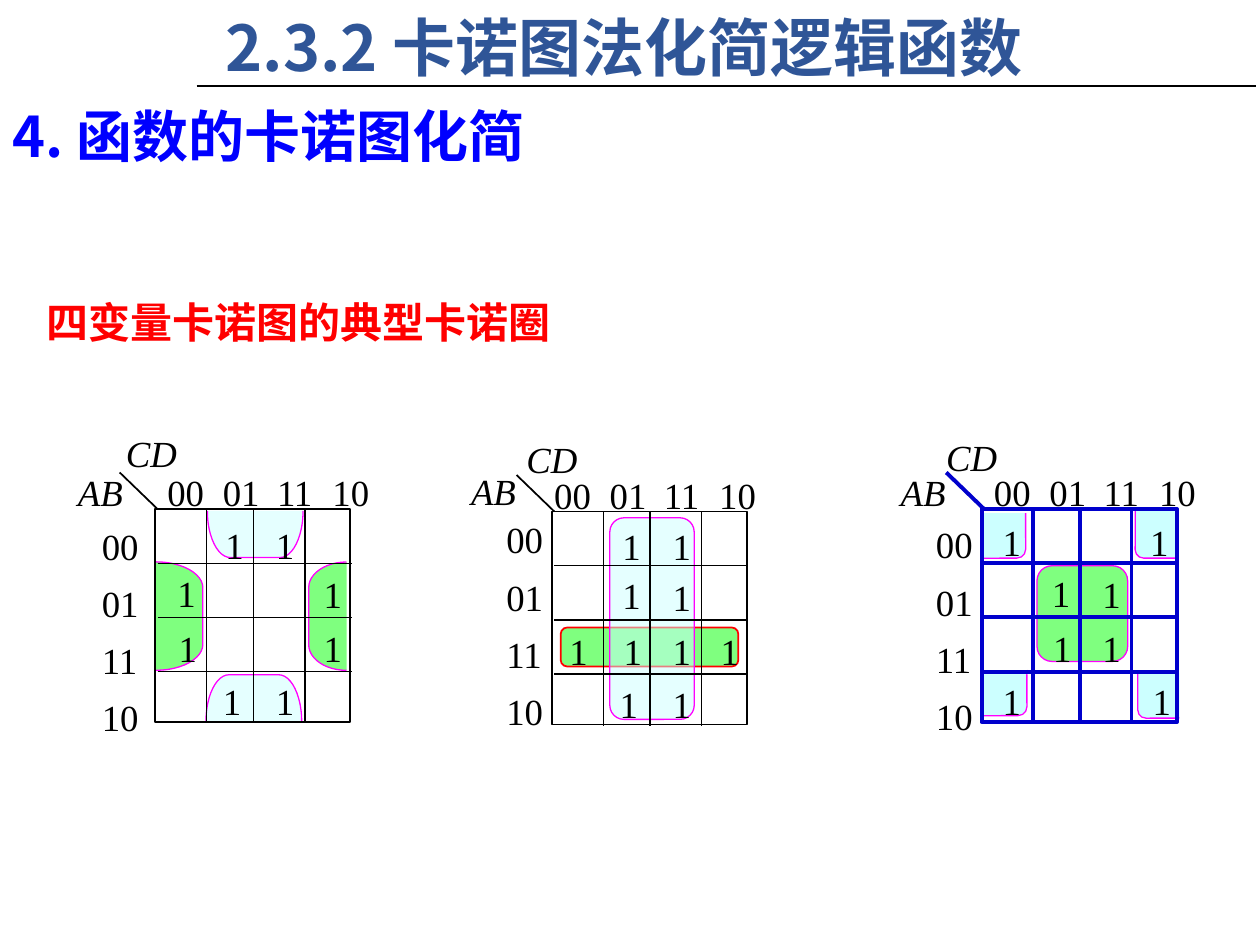
from dataclasses import dataclass, field

import pptx
import pptx.dml.color
import pptx.enum.shapes
import pptx.enum.text
import pptx.oxml
import pptx.oxml.ns
import pptx.util
from pptx.util import Inches

SERIF = "Times New Roman"
SANS = "Noto Sans CJK SC"
SHAPES = pptx.enum.shapes.MSO_SHAPE
ANCHOR = pptx.enum.text.MSO_ANCHOR
CYAN, GREEN, MAGENTA = "CCFFFF", "00FF00", "FF00FF"
GRID_SIZE = (1.55, 1.69)
COLUMN_OFFSETS = (0.41, 0.78, 1.19)
ROW_OFFSETS = (0.43, 0.86, 1.29)
CODES = ("00", "01", "11", "10")


@dataclass
class Loop:
    box: tuple[float, float, float, float]
    fill: str
    line: str = MAGENTA
    width: float = 0.75
    preset: int = SHAPES.ROUNDED_RECTANGLE
    adjustment: float = 0.167
    rotation: int = 0
    alpha: int = 50


@dataclass
class CornerMask:
    box: tuple[float, float, float, float]
    arm: float
    right: bool = False


@dataclass
class KarnaughMap:
    origin: tuple[float, float]
    column_label: tuple[float, float]
    row_label: tuple[float, float, float]
    cd_label: tuple[float, float]
    ab_label: tuple[float, float]
    loops: list[Loop]
    top_ones: list[tuple[float, float]]
    ones: list[tuple[float, float]]
    masks: list[CornerMask] = field(default_factory=list)
    color: str = "000000"
    border: float = 1
    inner: float = 0.75


def set_color(color_format, color: str) -> None:
    color_format.rgb = pptx.dml.color.RGBColor.from_string(color)


def set_fill(shape, color: str, alpha: int = 100) -> None:
    shape.fill.solid()
    set_color(shape.fill.fore_color, color)
    if alpha < 100:
        solid = shape.element.spPr.find(pptx.oxml.ns.qn("a:solidFill"))
        pptx.oxml.parse_xml(
            f'<a:alpha {pptx.oxml.ns.nsdecls("a")} val="{alpha * 1000}"/>'
        )
        transparency = solid[0].makeelement(pptx.oxml.ns.qn("a:alpha"), {"val": str(alpha * 1000)})
        solid[0].append(transparency)


def set_line(shape, color: str, width: float) -> None:
    set_color(shape.line.color, color)
    shape.line.width = pptx.util.Pt(width)


def write_text(shape, text: str, *, size: float = 21, font: str = SERIF, color: str = "000000",
               bold: bool = False, italic: bool = False, wrap: bool = True,
               spacing: float | None = None, anchor=ANCHOR.TOP,
               tabs: tuple[float, ...] = ()) -> None:
    frame = shape.text_frame
    frame.auto_size = pptx.enum.text.MSO_AUTO_SIZE.NONE
    frame.word_wrap = wrap
    frame.vertical_anchor = anchor
    for index, line in enumerate(text.split("\n")):
        paragraph = frame.paragraphs[0] if index == 0 else frame.add_paragraph()
        paragraph.alignment = pptx.enum.text.PP_ALIGN.LEFT
        if spacing:
            paragraph.line_spacing = spacing
        if tabs:
            stops = "".join(f'<a:tab pos="{Inches(tab)}" algn="l"/>' for tab in tabs)
            paragraph._p.get_or_add_pPr().append(pptx.oxml.parse_xml(
                f'<a:tabLst {pptx.oxml.ns.nsdecls("a")}>{stops}</a:tabLst>'))
        run = paragraph.add_run()
        run.text = line
        run.font.name = font
        run.font.size = pptx.util.Pt(size)
        run.font.bold = bold
        run.font.italic = italic
        set_color(run.font.color, color)
        run.font._element.append(pptx.oxml.parse_xml(
            f'<a:ea {pptx.oxml.ns.nsdecls("a")} typeface="{SANS}"/>'))


def add_text(slide, box: tuple[float, ...], text: str, **text_format):
    shape = slide.shapes.add_textbox(*map(Inches, box))
    write_text(shape, text, **text_format)
    return shape


def add_line(slide, start: tuple[float, float], end: tuple[float, float],
             color: str, width: float) -> None:
    connector = slide.shapes.add_connector(
        pptx.enum.shapes.MSO_CONNECTOR.STRAIGHT, *map(Inches, (*start, *end)))
    set_line(connector, color, width)
    connector.element.spPr.append(pptx.oxml.parse_xml(
        f'<a:effectLst {pptx.oxml.ns.nsdecls("a")}/>'))


def add_loop(slide, loop: Loop) -> None:
    shape = slide.shapes.add_shape(loop.preset, *map(Inches, loop.box))
    shape.shadow.inherit = False
    shape.adjustments[0] = loop.adjustment
    shape.rotation = loop.rotation
    set_fill(shape, loop.fill, loop.alpha)
    set_line(shape, loop.line, loop.width)


def add_mask(slide, mask: CornerMask) -> None:
    left, top, width, height = mask.box
    outer, inner, direction = (left + width, left, -1) if mask.right else (left, left + width, 1)
    elbow = outer + direction * mask.arm
    points = [(outer, top), (inner, top), (inner, top + 0.12), (elbow, top + 0.12),
              (elbow, top + height), (outer, top + height)]
    points = [(Inches(x), Inches(y)) for x, y in points]
    builder = slide.shapes.build_freeform(*points[0])
    builder.add_line_segments(points[1:], close=True)
    shape = builder.convert_to_shape()
    shape.shadow.inherit = False
    set_fill(shape, "FFFFFF")
    shape.line.fill.background()


def add_map(slide, karnaugh: KarnaughMap) -> None:
    for loop in karnaugh.loops:
        add_loop(slide, loop)
    for mask in karnaugh.masks:
        add_mask(slide, mask)
    left, top = karnaugh.origin
    width, height = GRID_SIZE
    border = slide.shapes.add_shape(SHAPES.RECTANGLE, *map(Inches, (left, top, width, height)))
    border.shadow.inherit = False
    border.fill.background()
    set_line(border, karnaugh.color, karnaugh.border)
    add_line(slide, (left + 0.02, top), (left - 0.28, top - 0.29), karnaugh.color, karnaugh.border)
    for offset in COLUMN_OFFSETS:
        x = left + offset
        add_line(slide, (x, top), (x, top + 1.7), karnaugh.color, karnaugh.inner)
    for offset in ROW_OFFSETS:
        y = top + offset
        add_line(slide, (left + 0.02, y), (left + 1.56, y), karnaugh.color, karnaugh.inner)
    add_text(slide, (*karnaugh.column_label, 1.82, 0.45), "\t".join(CODES),
             tabs=(0.44, 0.87, 1.31))
    add_text(slide, (*karnaugh.row_label, 1.94), "\n".join(CODES), spacing=1.3)
    add_text(slide, (*karnaugh.cd_label, 0.61, 0.45), "CD", italic=True, wrap=False)
    add_text(slide, (*karnaugh.ab_label, 0.56, 0.45), "AB", italic=True, wrap=False)
    for position in karnaugh.top_ones:
        add_text(slide, (*position, 0.31, 0.52), "1", spacing=1.2, wrap=False)
    for position in karnaugh.ones:
        add_text(slide, (*position, 0.35, 0.45), "1", wrap=False)


BRACKET = SHAPES.RIGHT_BRACKET
MAPS = [
    KarnaughMap(
        (1.23, 4.04), (1.23, 3.68), (0.71, 4, 0.59), (0.9, 3.37), (0.52, 3.68),
        [Loop((1.83, 5.16, 0.37, 0.76), CYAN, preset=BRACKET, adjustment=0.494, rotation=270),
         Loop((1.84, 3.86, 0.37, 0.76), CYAN, preset=BRACKET, adjustment=0.494, rotation=90),
         Loop((2.45, 4.46, 0.3, 0.86), GREEN, preset=BRACKET, adjustment=0.677, rotation=180),
         Loop((1.24, 4.46, 0.37, 0.86), GREEN, preset=BRACKET, adjustment=0.555)],
        [(1.69, 4.03), (2.09, 4.03)],
        [(1.31, 4.48), (2.47, 4.49), (1.32, 4.92), (2.47, 4.92), (1.67, 5.34), (2.09, 5.34)]),
    KarnaughMap(
        (4.38, 4.06), (4.3, 3.7), (3.92, 3.95, 0.52), (4.08, 3.42), (3.64, 3.67),
        [Loop((4.45, 4.98, 1.41, 0.31), GREEN, line="FF0000", width=1),
         Loop((4.84, 4.11, 0.67, 1.6), CYAN)],
        [(4.84, 4.04), (5.24, 4.04)],
        [(4.84, 4.5), (5.24, 4.51), (4.42, 4.94), (4.85, 4.94), (5.24, 4.94), (5.62, 4.94),
         (4.82, 5.36), (5.24, 5.36)]),
    KarnaughMap(
        (7.79, 4.04), (7.79, 3.68), (7.33, 3.99, 0.61), (7.41, 3.4), (7.05, 3.68),
        [Loop((8.23, 4.49, 0.72, 0.76), GREEN),
         Loop((9.03, 5.26, 0.39, 0.44), CYAN, alpha=100),
         Loop((7.73, 5.26, 0.42, 0.42), CYAN, alpha=100),
         Loop((9.01, 3.96, 0.4, 0.47), CYAN, alpha=100),
         Loop((7.72, 3.98, 0.42, 0.45), CYAN, alpha=100)],
        [(7.86, 4.01), (9.03, 4.01)],
        [(8.25, 4.48), (8.65, 4.49), (8.26, 4.92), (8.65, 4.92), (7.86, 5.34), (9.05, 5.34)],
        masks=[CornerMask((9.02, 5.22, 0.42, 0.49), 0.08, right=True),
               CornerMask((7.7, 5.23, 0.45, 0.48), 0.1),
               CornerMask((9, 3.93, 0.44, 0.53), 0.09, right=True),
               CornerMask((7.7, 3.95, 0.45, 0.51), 0.09)],
        color="0000CC", border=2.25, inner=2.25),
]


def main() -> None:
    presentation = pptx.Presentation()
    presentation.slide_width, presentation.slide_height = Inches(10), Inches(7.5)
    slide = presentation.slides.add_slide(presentation.slide_layouts[5])
    title = slide.shapes.title
    title.left, title.top, title.width, title.height = map(Inches, (1.69, 0.01, 7.09, 0.71))
    write_text(title, "2.3.2 卡诺图法化简逻辑函数", size=36, font=SANS, color="2F5597",
               bold=True, anchor=ANCHOR.MIDDLE)
    add_line(slide, (1.56, 0.68), (9.97, 0.68), "000000", 1.25)
    add_text(slide, (0, 0.75, 5.57, 0.64), "4. 函数的卡诺图化简", size=32, font=SANS,
             color="0000FF", bold=True, anchor=ANCHOR.MIDDLE)
    caption = add_text(slide, (0.3, 2.3, 5.09, 0.51), "四变量卡诺图的典型卡诺圈", size=24,
                       color="FF0000", bold=True, anchor=ANCHOR.MIDDLE)
    caption.text_frame.margin_left = caption.text_frame.margin_right = Inches(0.07)
    caption.text_frame.margin_top = caption.text_frame.margin_bottom = Inches(0.04)
    for karnaugh in MAPS:
        add_map(slide, karnaugh)
    presentation.save("out.pptx")


if __name__ == "__main__":
    main()
